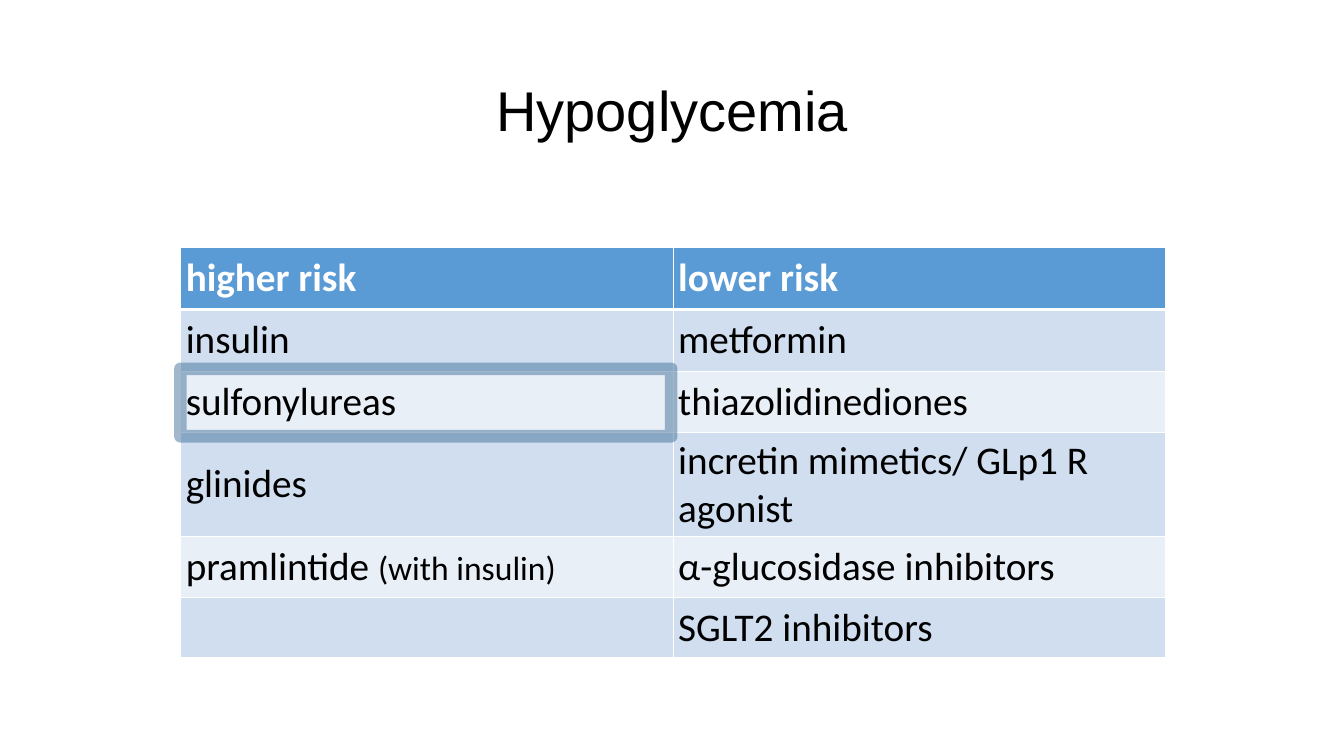
from lxml import etree
from pptx import Presentation
from pptx.dml.color import RGBColor
from pptx.enum.shapes import MSO_SHAPE
from pptx.enum.text import MSO_ANCHOR, PP_ALIGN
from pptx.oxml.ns import qn
from pptx.util import Pt

BLACK = RGBColor(0x00, 0x00, 0x00)
WHITE = RGBColor(0xFF, 0xFF, 0xFF)
HEADER_BLUE = RGBColor(0x5B, 0x9B, 0xD5)
BAND_DARK = RGBColor(0xD0, 0xDE, 0xEF)
BAND_LIGHT = RGBColor(0xE9, 0xEF, 0xF7)
FRAME_BLUE = RGBColor(0x42, 0x71, 0x9B)

RECTANGLE = MSO_SHAPE.RECTANGLE
MIDDLE = MSO_ANCHOR.MIDDLE
CENTER = PP_ALIGN.CENTER
LEFT = PP_ALIGN.LEFT

INSET = Pt(3.6)
COLUMN_WIDTH = Pt(351.8)
ROW_HEIGHTS = [44.4, 44.4, 43.4, 43.4, 43.4, 43.4]
RISKS = [
    ("higher risk", "lower risk"),
    ("insulin", "metformin"),
    ("sulfonylureas", "thiazolidinediones"),
    ("glinides", "incretin mimetics/ GLp1 R agonist"),
    ("pramlintide ", "α-glucosidase inhibitors"),
    ("", "SGLT2 inhibitors"),
]


def add_text(p, text, size=28, font="Calibri", color=BLACK, bold=False, align=LEFT):
    p.alignment = align
    r = p.add_run()
    r.text = text
    r.font.size = Pt(size)
    r.font.name = font
    r.font.color.rgb = color
    r.font.bold = bold


def set_insets(box):
    box.margin_left = box.margin_right = INSET
    box.margin_top = box.margin_bottom = INSET
    box.vertical_anchor = MIDDLE


def add_title(slide, text):
    tf = slide.shapes.add_textbox(Pt(66), Pt(28.8), Pt(828), Pt(104.4)).text_frame
    tf.word_wrap = True
    set_insets(tf)
    p = tf.paragraphs[0]
    p.line_spacing = 0.9
    add_text(p, text, size=40, font="Arial", align=CENTER)


def set_borders(cell, **widths):
    tc_pr = cell._tc.get_or_add_tcPr()
    for side in "LRTB":
        ln = etree.SubElement(tc_pr, qn(f"a:ln{side}"), w=str(Pt(widths.get(side, 1))))
        fill = etree.SubElement(ln, qn("a:solidFill"))
        etree.SubElement(fill, qn("a:srgbClr"), val=str(WHITE))


def style_cell(cell, row):
    set_insets(cell)
    set_borders(cell, T=3 if row == 1 else 1, B=3 if row == 0 else 1)
    cell.fill.solid()
    if row == 0:
        cell.fill.fore_color.rgb = HEADER_BLUE
    else:
        cell.fill.fore_color.rgb = BAND_DARK if row % 2 else BAND_LIGHT


def add_risk_table(slide):
    table = slide.shapes.add_table(
        len(RISKS), 2, Pt(129.1), Pt(176.6), COLUMN_WIDTH * 2, Pt(sum(ROW_HEIGHTS))
    ).table
    for column in table.columns:
        column.width = COLUMN_WIDTH
    for row, (texts, height) in enumerate(zip(RISKS, ROW_HEIGHTS)):
        table.rows[row].height = Pt(height)
        for col, text in enumerate(texts):
            cell = table.cell(row, col)
            style_cell(cell, row)
            p = cell.text_frame.paragraphs[0]
            if text:
                add_text(p, text, color=BLACK if row else WHITE, bold=row == 0)
            else:
                p.font.size = Pt(28)
    add_text(table.cell(4, 0).text_frame.paragraphs[0], "(with insulin)", size=24)


def add_highlight(slide):
    sp = slide.shapes.add_shape(RECTANGLE, Pt(128.9), Pt(263.5), Pt(350.6), Pt(48.2))
    sp.shadow.inherit = False
    sp.fill.background()
    sp.line.width = Pt(9)
    sp.line.color.rgb = FRAME_BLUE
    color = sp.line._ln.find(".//" + qn("a:srgbClr"))
    etree.SubElement(color, qn("a:alpha"), val="50000")


def main():
    prs = Presentation()
    prs.slide_width, prs.slide_height = Pt(960), Pt(540)
    slide = prs.slides.add_slide(prs.slide_layouts[6])
    add_title(slide, "Hypoglycemia")
    add_risk_table(slide)
    add_highlight(slide)
    prs.save("out.pptx")


if __name__ == "__main__":
    main()
